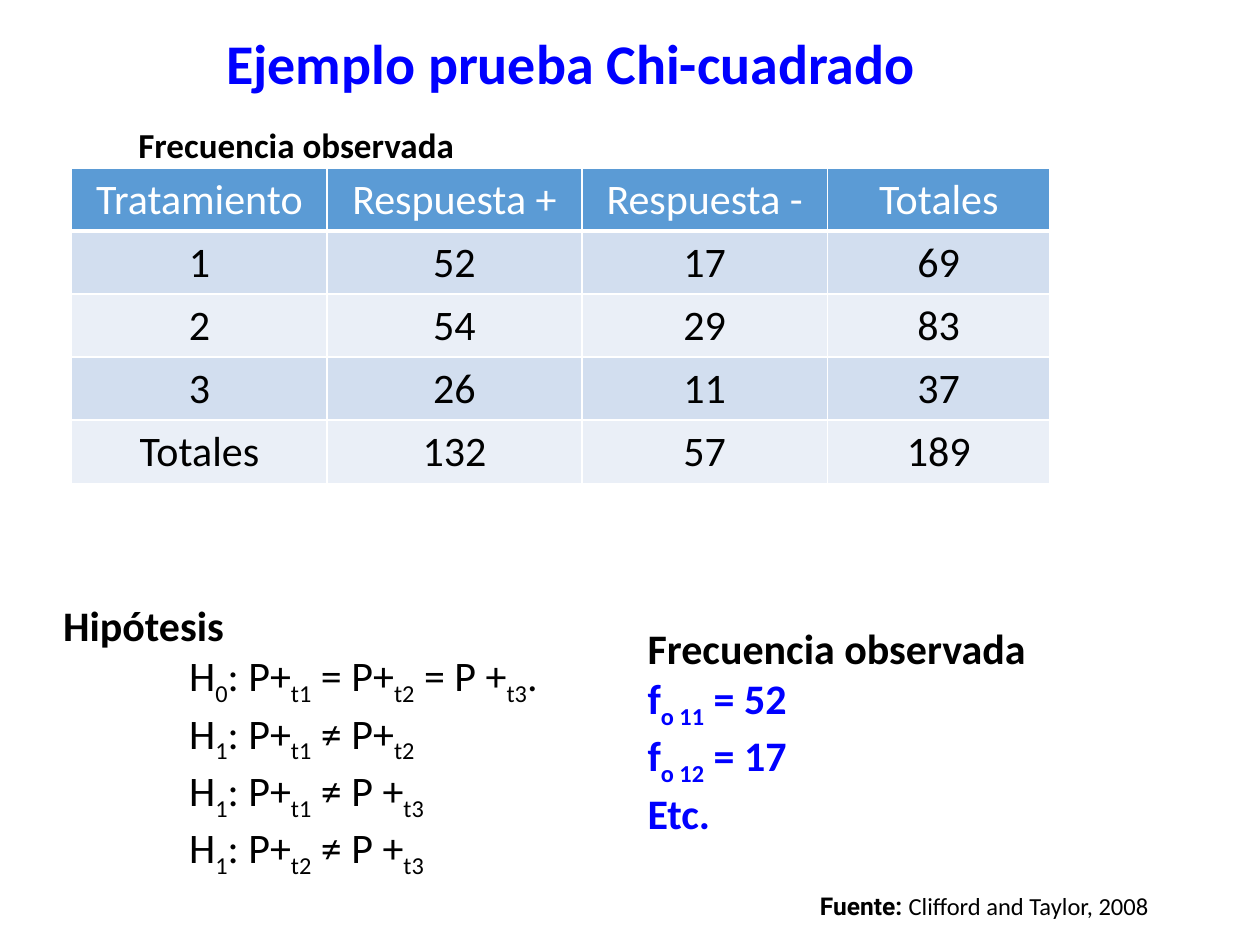
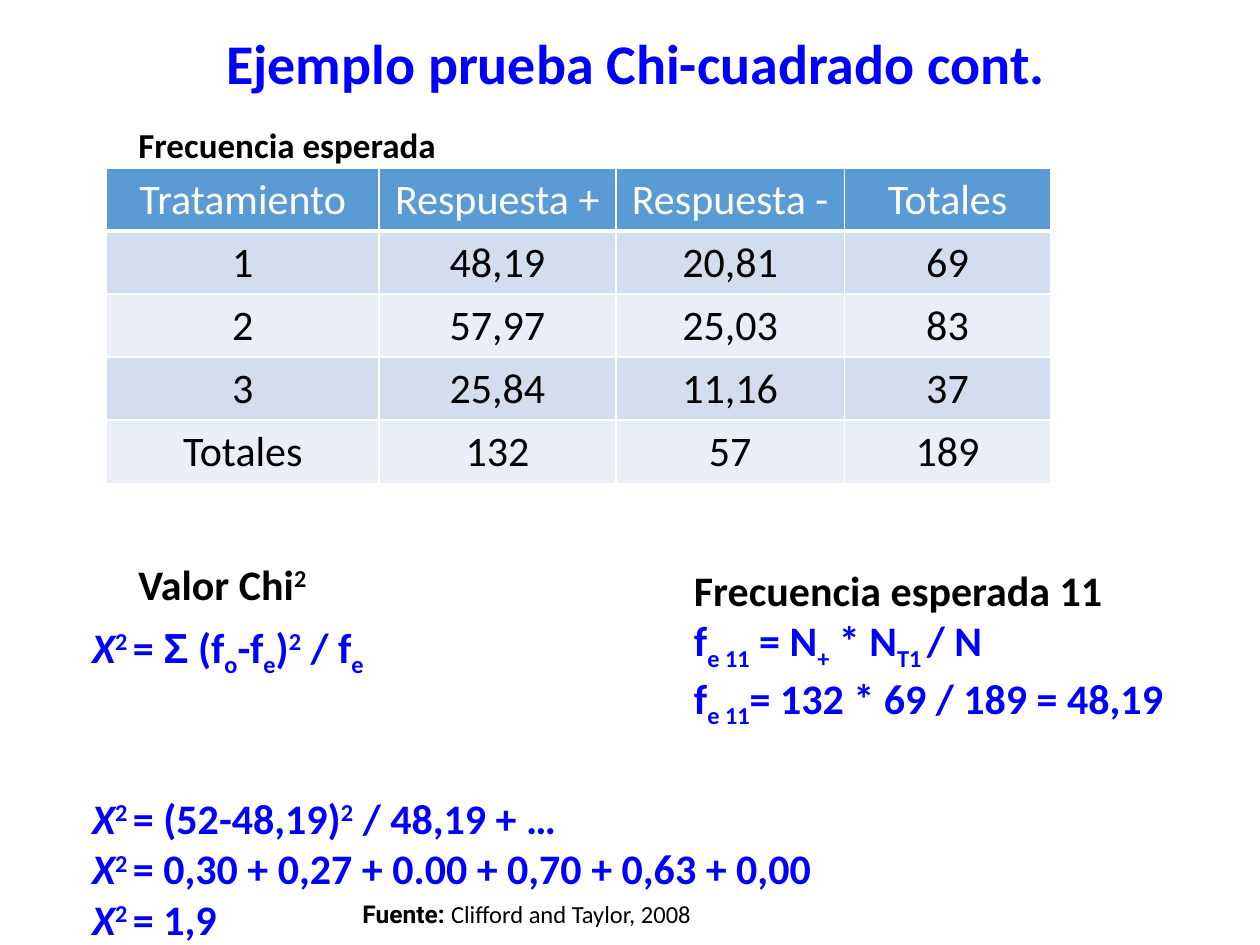
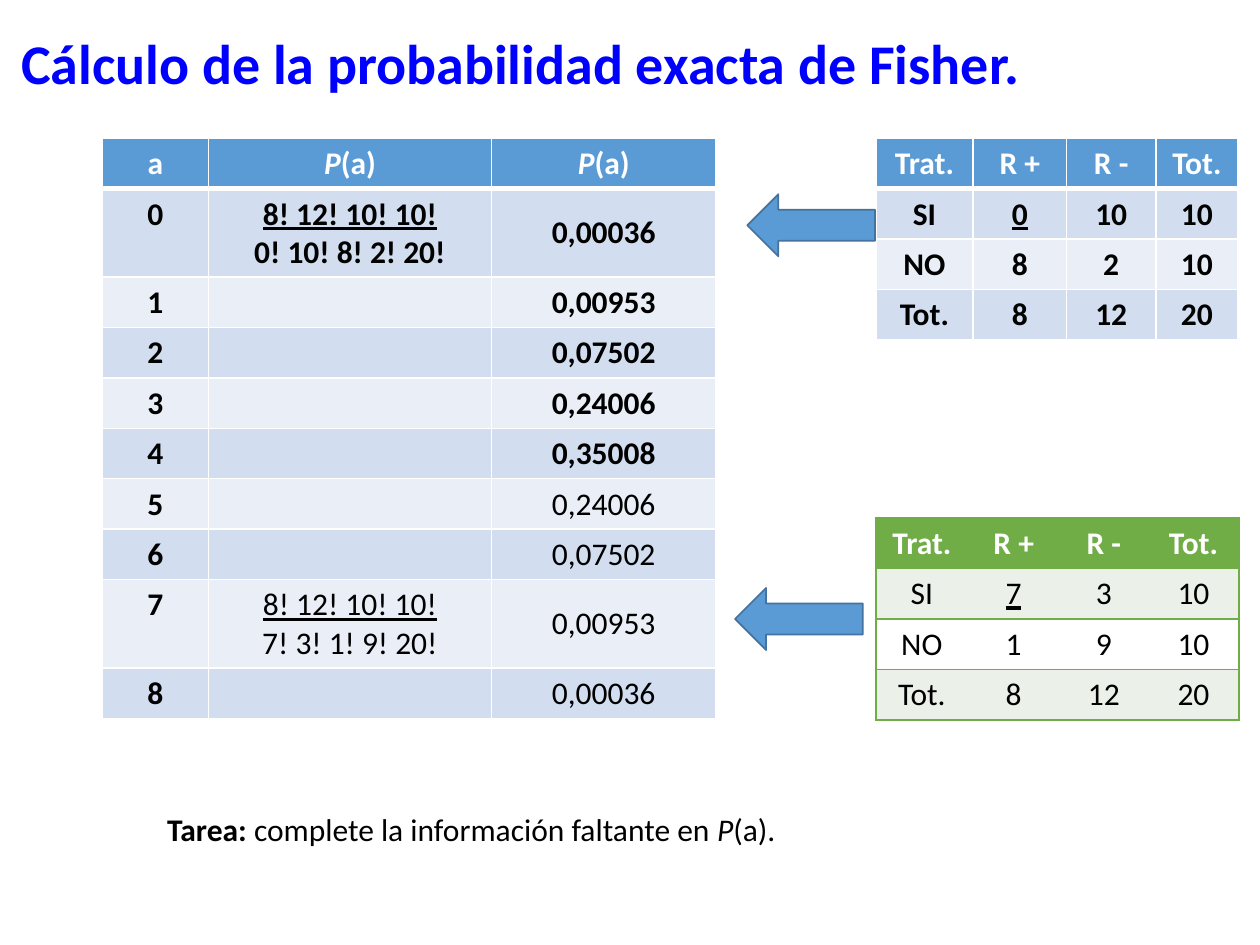
"""Build three slides on the chi-square test and Fisher's exact probability."""
from dataclasses import dataclass
from typing import NamedTuple

from lxml import etree
from pptx import Presentation
from pptx.dml.color import RGBColor
from pptx.enum.shapes import MSO_SHAPE
from pptx.enum.text import MSO_ANCHOR, MSO_AUTO_SIZE, PP_ALIGN
from pptx.oxml.ns import qn
from pptx.util import Pt

LEFT, CENTER, JUSTIFY = PP_ALIGN.LEFT, PP_ALIGN.CENTER, PP_ALIGN.JUSTIFY
TOP, MIDDLE = MSO_ANCHOR.TOP, MSO_ANCHOR.MIDDLE
FIT_SHAPE = MSO_AUTO_SIZE.SHAPE_TO_FIT_TEXT
LEFT_ARROW = MSO_SHAPE.LEFT_ARROW

FONT = "Calibri"
BLACK, WHITE, TITLE_BLUE = "000000", "FFFFFF", "0000FF"
ACCENT, ACCENT_EDGE, GREEN = "5B9BD5", "43739E", "70AD47"
BASELINES = {"~": "-25000", "^": "30000"}
MARK_FONTS = {"@": "Arial", "#": "Roboto"}
MARKS = "~^@#|`_"


class Box(NamedTuple):
    """Left, top, width and height in points."""
    x: float
    y: float
    w: float
    h: float


@dataclass(frozen=True)
class Para:
    """Text with toggles: ~sub~ ^super^ |bold| `italic` _underline_ @Arial@ #Roboto#."""
    text: str
    color: str = BLACK
    size: float = 24
    bold: bool = True
    align: PP_ALIGN = LEFT
    indent: float = 0
    before: float = 0
    spacing: float = 1


@dataclass(frozen=True)
class TextBox:
    """A text box and its paragraphs."""
    box: Box
    paras: list[Para]
    wrap: bool = True


@dataclass(frozen=True)
class TableLook:
    """Fills and borders of a table."""
    head: str
    bands: tuple[str, str]
    line: str
    inner_lines: bool
    head_rule: float


@dataclass(frozen=True)
class Table:
    """A table whose first row is the header."""
    x: float
    y: float
    widths: list[float]
    rows: list[list[str]]
    look: TableLook
    size: float = 18
    head_bold: bool = True
    body_bold: bool = True
    middle_col: int = -1


BLUE_LOOK = TableLook(ACCENT, ("D2DEEF", "EAEFF7"), WHITE, True, 3)
GREEN_LOOK = TableLook(GREEN, ("EBF1E9", WHITE), GREEN, False, 1)


def rgb(value: str) -> RGBColor:
    """Turn a hex string into a colour."""
    return RGBColor.from_string(value)


def split_marks(text: str) -> list[tuple[str, set[str]]]:
    """Split marked text into pieces with the marks active on each."""
    pieces, active, piece = [], set(), ""
    for char in text:
        if char not in MARKS:
            piece += char
            continue
        if piece:
            pieces.append((piece, set(active)))
        piece = ""
        active ^= {char}
    return pieces + [(piece, active)] if piece else pieces


def write_para(p, para: Para) -> None:
    """Fill a paragraph with formatted runs."""
    p.alignment = para.align
    p.line_spacing = para.spacing
    if para.before:
        p.space_before = Pt(para.before)
    if para.indent:
        p._p.get_or_add_pPr().set("marL", str(Pt(para.indent)))
    p.font.name = FONT
    p.font.size = Pt(para.size)
    p.font.color.rgb = rgb(para.color)
    for text, marks in split_marks(para.text):
        r = p.add_run()
        r.text = text
        r.font.bold = para.bold != ("|" in marks)
        if "`" in marks:
            r.font.italic = True
        if "_" in marks:
            r.font.underline = True
        for mark in marks & MARK_FONTS.keys():
            r.font.name = MARK_FONTS[mark]
        for mark in marks & BASELINES.keys():
            r._r.get_or_add_rPr().set("baseline", BASELINES[mark])


def write_paras(tf, paras: list[Para]) -> None:
    """Write all paragraphs of a text frame."""
    for i, para in enumerate(paras):
        write_para(tf.add_paragraph() if i else tf.paragraphs[0], para)


def add_slide(prs, title: str, x: float, w: float):
    """Add a slide with a formatted title."""
    s = prs.slides.add_slide(prs.slide_layouts[5])
    sp = s.shapes.title
    sp.left, sp.top, sp.width, sp.height = map(Pt, Box(x, 16.5, w, 42.5))
    tf = sp.text_frame
    tf.vertical_anchor = MIDDLE
    tf.word_wrap = True
    tf.auto_size = FIT_SHAPE
    write_paras(tf, [Para(title, TITLE_BLUE, 32, spacing=0.9)])
    return s


def add_text(s, item: TextBox) -> None:
    """Draw a text box."""
    tf = s.shapes.add_textbox(*map(Pt, item.box)).text_frame
    tf.word_wrap = item.wrap
    tf.auto_size = FIT_SHAPE
    write_paras(tf, item.paras)


def add_caption(s, text: str, w: float) -> None:
    """Draw the caption above a frequency table."""
    add_text(s, TextBox(Box(72, 67, w, 31.5), [Para(text, size=20)], False))


def add_source(s, x: float, y: float) -> None:
    """Draw the source line."""
    source = Para("#|Fuente: |#Clifford and Taylor, 2008", size=14, bold=False)
    add_text(s, TextBox(Box(x, y, 211, 24.5), [source], False))


def set_borders(cell, color: str, widths: dict[str, float]) -> None:
    """Set the four cell borders; a zero width hides one."""
    tc_pr = cell._tc.get_or_add_tcPr()
    for i, side in enumerate("LRTB"):
        ln = etree.Element(qn(f"a:ln{side}"), w=str(Pt(widths[side])))
        if widths[side]:
            fill = etree.SubElement(ln, qn("a:solidFill"))
            etree.SubElement(fill, qn("a:srgbClr"), val=color)
        else:
            etree.SubElement(ln, qn("a:noFill"))
        tc_pr.insert(i, ln)


def add_table(s, t: Table) -> None:
    """Draw a table with banded rows."""
    look, last = t.look, len(t.widths) - 1
    line_height = t.size * 1.2
    heights = [round(7.2 + line_height * (1 + max(c.count("\n") for c in row)), 1)
               for row in t.rows]
    box = Box(t.x, t.y, sum(t.widths), sum(heights))
    table = s.shapes.add_table(len(heights), len(t.widths), *map(Pt, box)).table
    for column, width in zip(table.columns, t.widths):
        column.width = Pt(width)
    for i, (row, height) in enumerate(zip(t.rows, heights)):
        table.rows[i].height = Pt(height)
        fill = look.bands[(i - 1) % 2] if i else look.head
        color, bold = (BLACK, t.body_bold) if i else (WHITE, t.head_bold)
        for j, text in enumerate(row):
            cell = table.cell(i, j)
            cell.fill.solid()
            cell.fill.fore_color.rgb = rgb(fill)
            cell.vertical_anchor = MIDDLE if i and j == t.middle_col else TOP
            set_borders(cell, look.line, {
                "L": int(look.inner_lines or j == 0),
                "R": int(look.inner_lines or j == last),
                "T": look.head_rule if i == 1 else 1,
                "B": look.head_rule if i == 0 else 1})
            write_paras(cell.text_frame, [Para(line, color, t.size, bold, CENTER)
                                          for line in text.split("\n")])


def add_frequencies(s, x: float, widths: list[float], body: list[list[str]]) -> None:
    """Draw a frequency table with its header and totals."""
    head = ["Tratamiento", "Respuesta +", "Respuesta -", "Totales"]
    totals = ["Totales", "132", "57", "189"]
    add_table(s, Table(x, 96, widths, [head, *body, totals], BLUE_LOOK, 24, False, False))


def add_contingency(s, y: float, widths: list[float], body: list[list[str]],
                    look: TableLook, bold: bool) -> None:
    """Draw a two by two table with its header and totals."""
    rows = [["Trat.", "R +", "R -", "Tot."], *body, ["Tot.", "8", "12", "20"]]
    add_table(s, Table(500.5, y, widths, rows, look, body_bold=bold))


def add_arrow(s, x: float, y: float) -> None:
    """Draw a left arrow."""
    sp = s.shapes.add_shape(LEFT_ARROW, *map(Pt, Box(x, y, 73, 35.5)))
    sp.shadow.inherit = False
    sp.fill.solid()
    sp.fill.fore_color.rgb = rgb(ACCENT)
    sp.line.color.rgb = rgb(ACCENT_EDGE)
    sp.line.width = Pt(1)


def build_observed(prs) -> None:
    """Build the slide of observed frequencies."""
    s = add_slide(prs, "Ejemplo prueba Chi-cuadrado", 122, 440.5)
    add_frequencies(s, 41, [146, 145.5, 140.5, 127], [
        ["1", "52", "17", "69"],
        ["2", "54", "29", "83"],
        ["3", "26", "11", "37"]])
    add_text(s, TextBox(Box(363, 352, 316, 153), [
        Para("Frecuencia observada"),
        *(Para(line, TITLE_BLUE) for line in ("f~o 11~ = 52", "f~o 12~ = 17", "Etc."))]))
    add_caption(s, "Frecuencia observada", 196.5)
    hypotheses = ["H~0~: P+~t1~ = P+~t2~ = P +~t3~.", "H~1~: P+~t1~ ≠ P+~t2~",
                  "H~1~: P+~t1~ ≠ P +~t3~", "H~1~: P+~t2~ ≠ P +~t3~"]
    add_text(s, TextBox(Box(29, 339, 360, 181), [
        Para("Hipótesis", align=JUSTIFY),
        *(Para(line, bold=False, align=JUSTIFY, indent=72) for line in hypotheses)]))
    add_source(s, 461.5, 505.5)


def build_expected(prs) -> None:
    """Build the slide of expected frequencies."""
    s = add_slide(prs, "Ejemplo prueba Chi-cuadrado cont.", 122, 528)
    add_frequencies(s, 61, [155.5, 135.5, 130.5, 118], [
        ["1", "48,19", "20,81", "69"],
        ["2", "57,97", "25,03", "83"],
        ["3", "25,84", "11,16", "37"]])
    add_caption(s, "Frecuencia esperada", 186.5)
    add_text(s, TextBox(Box(45.5, 351.5, 474.5, 163), [
        Para("`X`^2 ^= @Σ@ (f~o~-f~e~)^2^ / f~e~", TITLE_BLUE),
        Para("`X`^2 ^= (52-48,19)^2^ / 48,19 + …", TITLE_BLUE, before=65),
        Para("`X`^2 ^= 0,30 + 0,27 + 0.00 + 0,70 + 0,63 + 0,00", TITLE_BLUE),
        Para("`X`^2 ^= 1,9", TITLE_BLUE)]))
    add_text(s, TextBox(Box(72, 315.5, 114, 36), [Para("Valor Chi^2^")], False))
    add_text(s, TextBox(Box(389.5, 319, 360, 94), [
        Para("Frecuencia esperada 11"),
        Para("f~e 11~ = N~+~ * N~T1 ~/ N", TITLE_BLUE),
        Para("f~e 11~= 132 * 69 / 189 = 48,19", TITLE_BLUE)]))
    add_source(s, 200, 510)


def build_fisher(prs) -> None:
    """Build the slide of Fisher's exact probability."""
    s = add_slide(prs, "Cálculo de la probabilidad exacta de Fisher.", 5, 715)
    fractions = {0: "_8! 12! 10! 10!_\n0! 10! 8! 2! 20!",
                 7: "|_8! 12! 10! 10!_|\n|7! 3! 1! 9! 20!|"}
    values = ["0,00036", "0,00953", "0,07502", "0,24006", "0,35008",
              "|0,24006|", "|0,07502|", "|0,00953|", "|0,00036|"]
    rows = [[str(a), fractions.get(a, ""), value] for a, value in enumerate(values)]
    add_table(s, Table(58.5, 79, [60.5, 162, 128], [["a", "`P`(a)", "`P`(a)"], *rows],
                       BLUE_LOOK, middle_col=2))
    add_contingency(s, 79, [55.5, 53.5, 51, 47],
                    [["SI", "_0_", "10", "10"], ["NO", "8", "2", "10"]], BLUE_LOOK, True)
    add_arrow(s, 427, 111)
    add_contingency(s, 296, [52.5, 52.5, 50.5, 52],
                    [["SI", "_7_", "3", "10"], ["NO", "1", "9", "10"]], GREEN_LOOK, False)
    add_arrow(s, 420, 336)
    task = Para("|Tarea: |complete la información faltante en `P`(a).", size=18, bold=False)
    add_text(s, TextBox(Box(88.5, 459.5, 368.5, 29), [task], False))


def main() -> None:
    """Build and save the presentation."""
    prs = Presentation()
    prs.slide_width, prs.slide_height = Pt(720), Pt(540)
    build_observed(prs)
    build_expected(prs)
    build_fisher(prs)
    prs.save("out.pptx")


if __name__ == "__main__":
    main()
